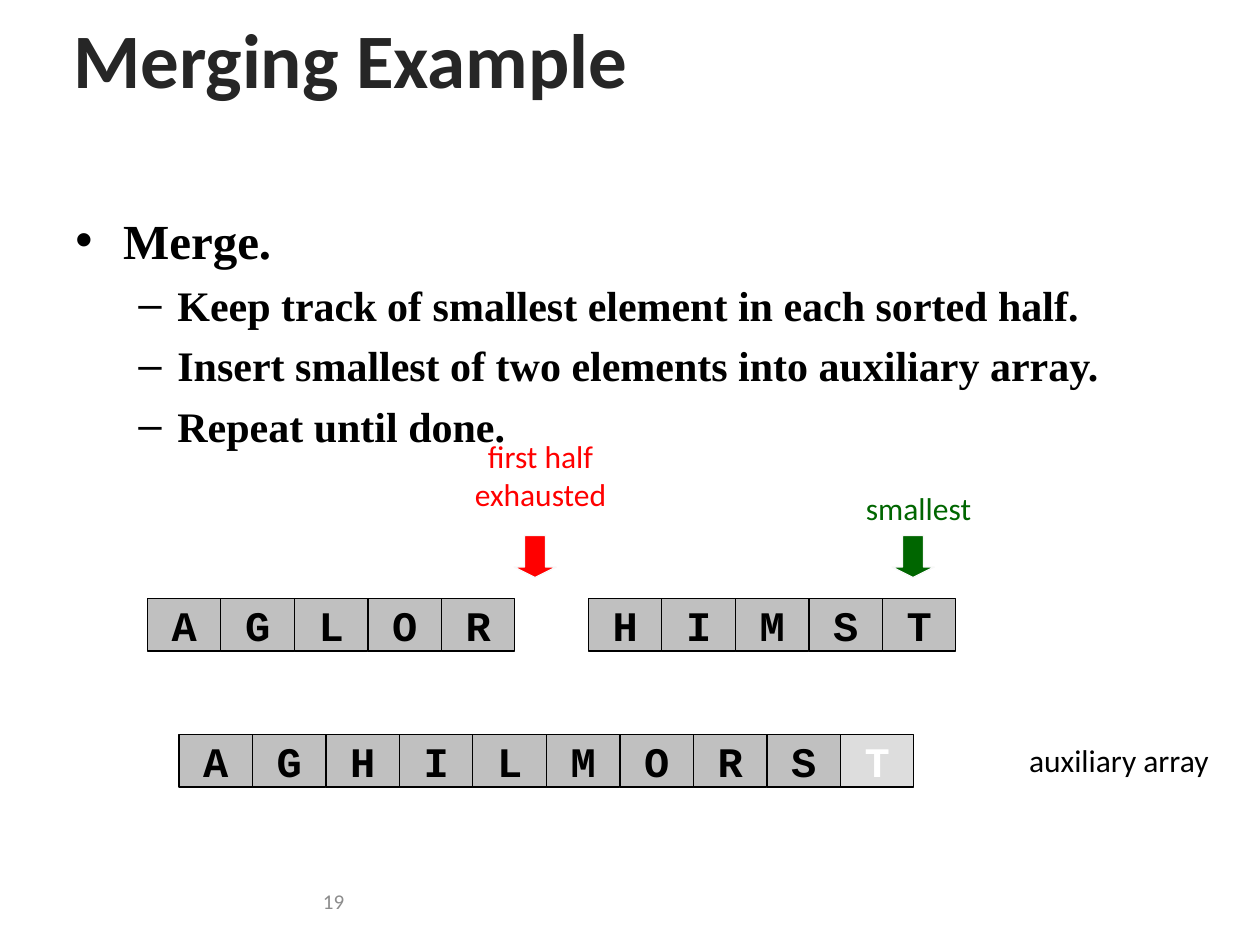
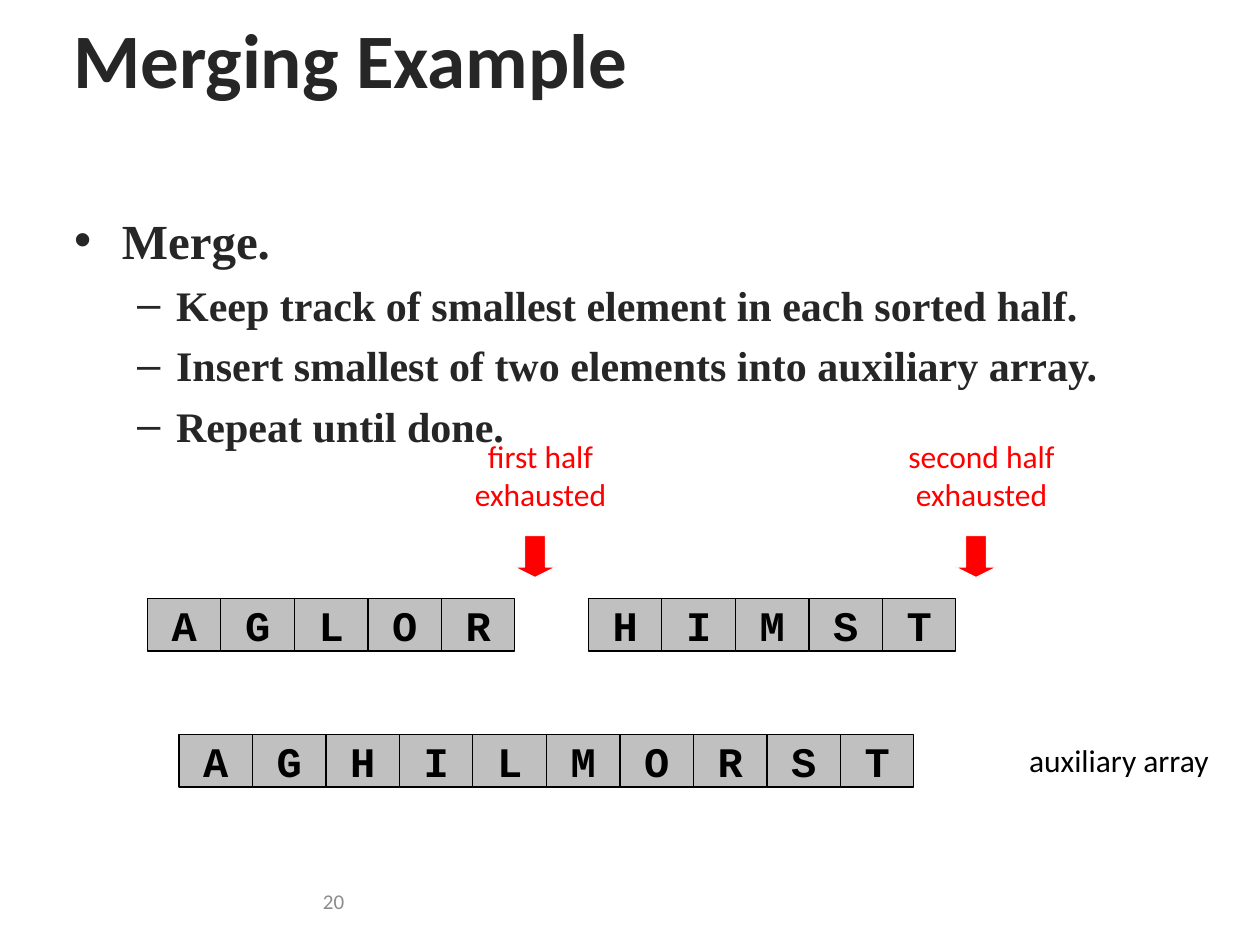
from lxml import etree
from pptx import Presentation
from pptx.dml.color import RGBColor
from pptx.enum.shapes import MSO_SHAPE
from pptx.enum.text import MSO_ANCHOR, PP_ALIGN
from pptx.oxml.ns import qn
from pptx.util import Inches, Pt

RECT, DOWN_ARROW = MSO_SHAPE.RECTANGLE, MSO_SHAPE.DOWN_ARROW
LEFT, CENTER, RIGHT = PP_ALIGN.LEFT, PP_ALIGN.CENTER, PP_ALIGN.RIGHT
TOP, MIDDLE = MSO_ANCHOR.TOP, MSO_ANCHOR.MIDDLE

COLORS = {
    "black": "000000",
    "title": "262626",
    "number": "8C8C8C",
    "exhausted": "FF0000",
    "smallest": "006600",
    "arrow_line": "F8F8F8",
    "cell": "C0C0C0",
    "new_cell": "DDDDDD",
    "white": "FFFFFF",
}
CELL_W, CELL_H = 7 / 12, 5 / 12
ARROW = 1 / 3
HALVES = [("AGLOR", 1.17), ("HIMST", 4.67)]
MERGED = "AGHILMORST"
STEPS = [
    "Keep track of smallest element in each sorted half.",
    "Insert smallest of two elements into auxiliary array.",
    "Repeat until done.",
]


def rgb(name):
    return RGBColor.from_string(COLORS[name])


def write(p, text, size=18, font="Calibri", color="black", bold=False, align=CENTER):
    p.text = text
    p.alignment = align
    for r in p.runs:
        r.font.size = Pt(size)
        r.font.name = font
        r.font.bold = bold
        r.font.color.rgb = rgb(color)


def add_text(s, box, text, anchor=TOP, **fmt):
    tf = s.shapes.add_textbox(*map(Inches, box)).text_frame
    tf.word_wrap = True
    tf.vertical_anchor = anchor
    write(tf.paragraphs[0], text, **fmt)


def add_box(shapes, kind, box, fill, line):
    sp = shapes.add_shape(kind, *map(Inches, box))
    sp.shadow.inherit = False
    sp.fill.solid()
    sp.fill.fore_color.rgb = rgb(fill)
    sp.line.color.rgb = rgb(line)
    sp.line.width = Pt(0.75)
    return sp


def add_title(s, text):
    title = s.shapes.title
    title.left, title.top, title.width, title.height = map(Inches, (0.48, 0.08, 9.19, 0.75))
    title.text_frame.vertical_anchor = MIDDLE
    write(title.text_frame.paragraphs[0], text, size=44, color="title", bold=True, align=LEFT)


def add_bullet(p, char, margin, hang):
    pPr = p._p.get_or_add_pPr()
    pPr.set("marL", str(Inches(margin)))
    pPr.set("indent", str(-Inches(hang)))
    etree.SubElement(pPr, qn("a:buFont")).set("typeface", "Arial")
    etree.SubElement(pPr, qn("a:buChar")).set("char", char)


def add_steps(s, left, color):
    tf = s.shapes.add_textbox(*map(Inches, (left, 1.62, 9, 4.95))).text_frame
    tf.word_wrap = True
    for i, text in enumerate(["Merge.", *STEPS]):
        p = tf.add_paragraph() if i else tf.paragraphs[0]
        size, bullet = (24, ("–", 0.81, 0.31)) if i else (28, ("•", 0.38, 0.38))
        write(p, text, size=size, font="Times New Roman", color=color, bold=True, align=LEFT)
        p.level = 1 if i else 0
        p.space_before = Pt(size * 0.24)
        add_bullet(p, *bullet)


def add_array(s, letters, left, top, last_is_new=False):
    group = s.shapes.add_group_shape()
    for i, letter in enumerate(letters):
        is_new = last_is_new and i == len(letters) - 1
        box = (left + i * CELL_W, top, CELL_W, CELL_H)
        cell = add_box(group.shapes, RECT, box, "new_cell" if is_new else "cell", "black")
        tf = cell.text_frame
        tf.word_wrap = False
        tf.vertical_anchor = MIDDLE
        write(tf.paragraphs[0], letter, size=24, font="Courier New", bold=True,
              color="white" if is_new else "black")


def add_pointer(s, text, left, color):
    top, height = (3.42, 0.7) if "\n" in text else (3.83, 0.4)
    add_text(s, (left - 0.83, top, 2.08, height), text, color=color)
    arrow = add_box(s.shapes, DOWN_ARROW, (left, 4.25, ARROW, ARROW), color, "arrow_line")
    arrow.adjustments[0], arrow.adjustments[1] = 0.5, 0.25


def merge_slide(prs, number, pointer, steps_left, steps_color, last_is_new):
    s = prs.slides.add_slide(prs.slide_layouts[5])
    add_title(s, "Merging Example")
    add_steps(s, steps_left, steps_color)
    add_pointer(s, "first half\nexhausted", 4.08, "exhausted")
    add_pointer(s, *pointer)
    for letters, left in HALVES:
        add_array(s, letters, left, 4.75)
    add_array(s, MERGED, 1.42, 5.83, last_is_new)
    add_text(s, (7.92, 5.83, 1.92, 0.4), "auxiliary array")
    add_text(s, (0.5, 6.95, 2.33, 0.4), str(number), anchor=MIDDLE,
             size=12, color="number", align=RIGHT)


def main():
    prs = Presentation()
    prs.slide_width, prs.slide_height = Inches(10), Inches(7.5)
    merge_slide(prs, 19, ("smallest", 7.08, "smallest"), 0.5, "black", True)
    merge_slide(prs, 20, ("second half\nexhausted", 7.58, "exhausted"), 0.49, "title", False)
    prs.save("out.pptx")


if __name__ == "__main__":
    main()
